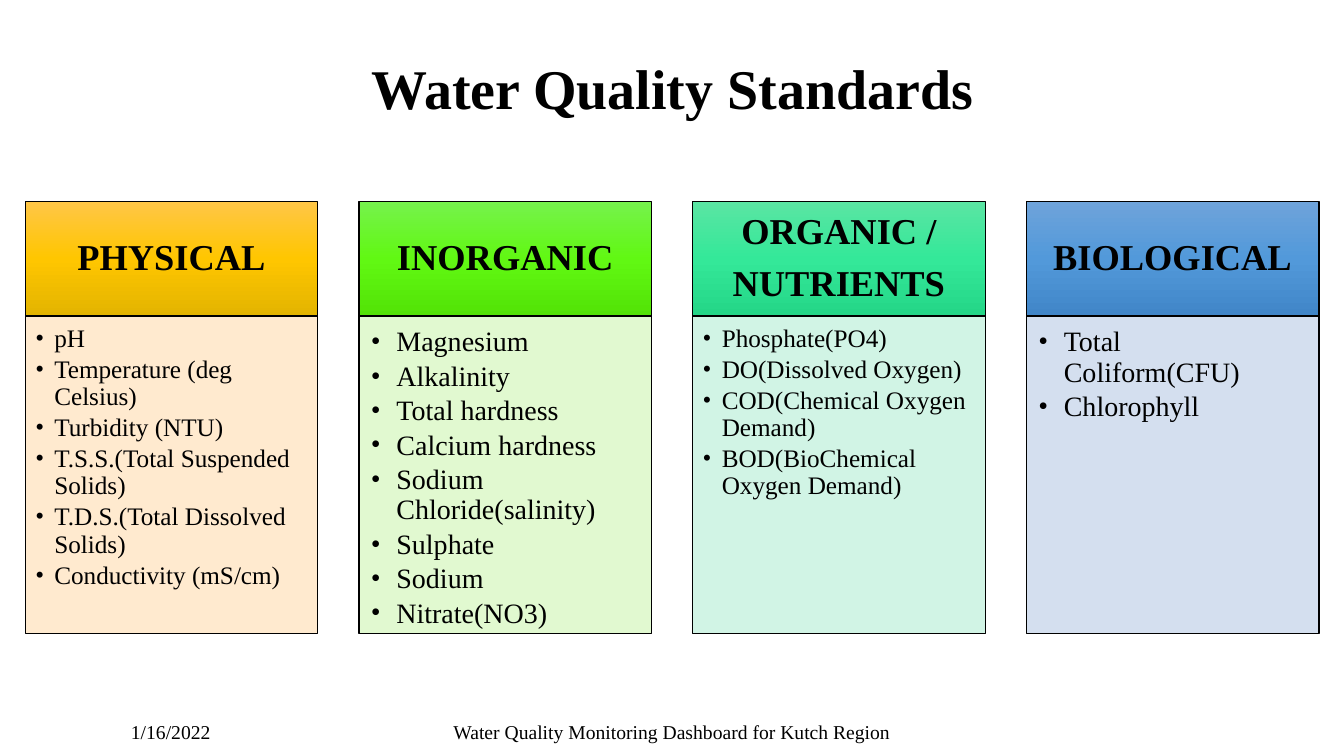
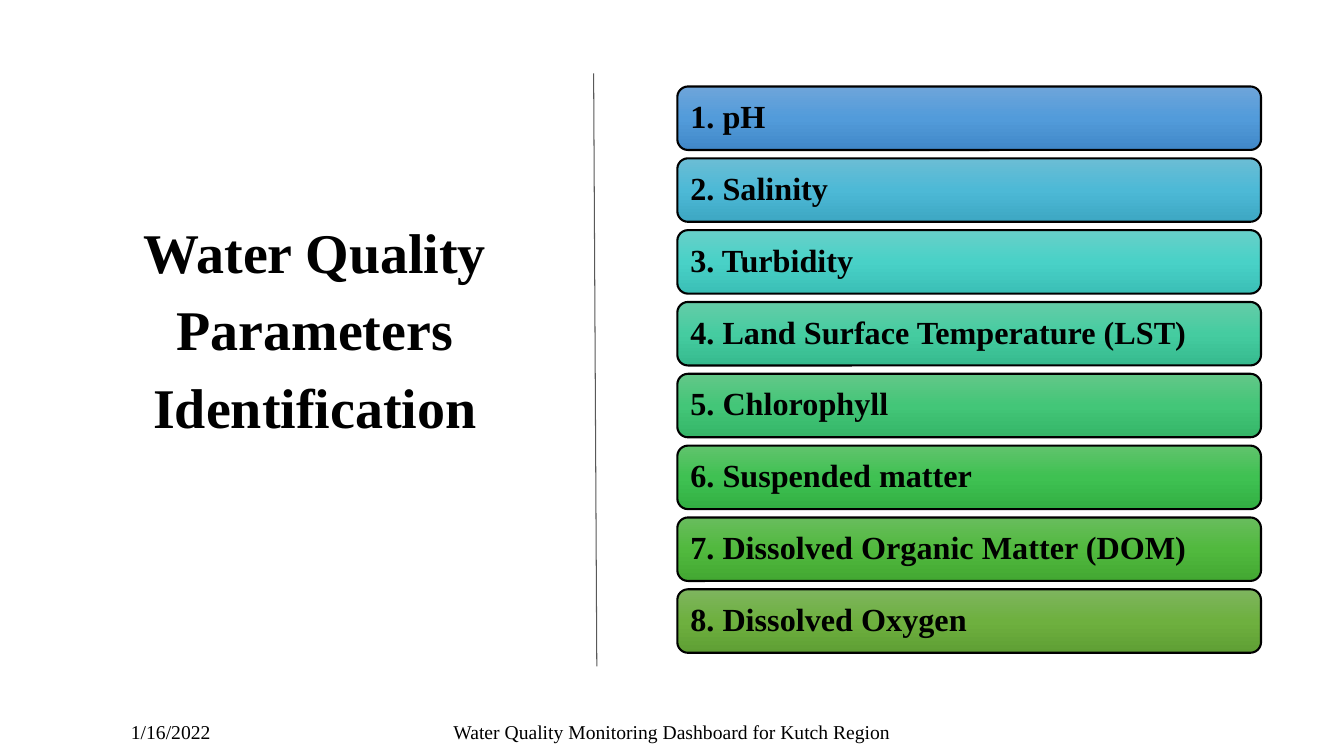
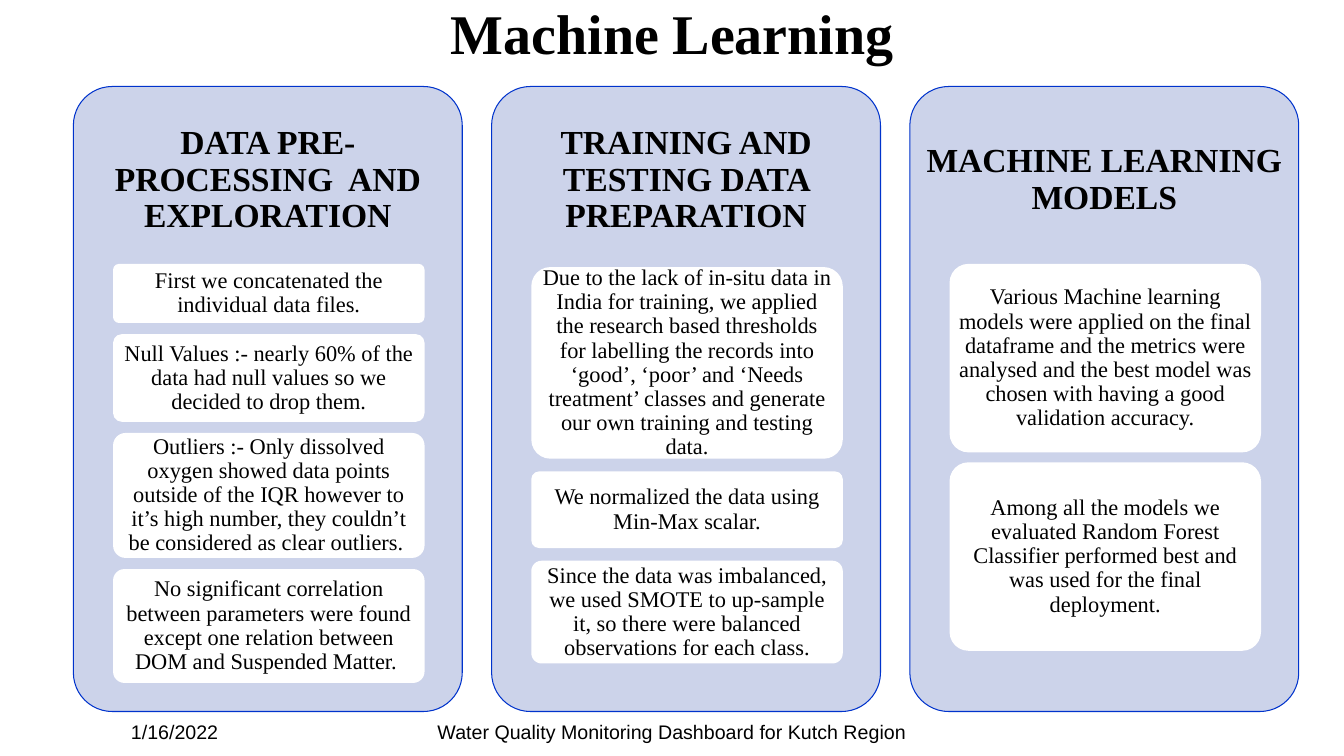
from copy import deepcopy

from lxml import etree
from pptx import Presentation
from pptx.dml.color import RGBColor
from pptx.enum.shapes import MSO_CONNECTOR, MSO_SHAPE
from pptx.enum.text import MSO_ANCHOR, MSO_AUTO_SIZE, PP_ALIGN
from pptx.oxml.ns import qn
from pptx.util import Cm, Pt

RECT, ROUNDED = MSO_SHAPE.RECTANGLE, MSO_SHAPE.ROUNDED_RECTANGLE
STRAIGHT = MSO_CONNECTOR.STRAIGHT
TOP, MIDDLE, BOTTOM = MSO_ANCHOR.TOP, MSO_ANCHOR.MIDDLE, MSO_ANCHOR.BOTTOM
LEFT, CENTER = PP_ALIGN.LEFT, PP_ALIGN.CENTER
NO_FIT = MSO_AUTO_SIZE.NONE
TITLE_ONLY = 5
SERIF, SANS = "Times New Roman", "Arial"

# Gradients run from top to bottom: light, middle, dark
COLORS = {
    "ink": "000000",
    "rule": "595959",
    "panel": "CCD3EA",
    "panel_edge": "0033CC",
    "card": "FFFFFF",
    "physical": ("FFC647", "FFC600", "E3B400"),
    "inorganic": ("76F24C", "61F813", "52E306"),
    "organic": ("5AE5A3", "34E899", "24D687"),
    "biological": ("6EA3DA", "5299DA", "4186C8"),
    "physical_tint": "FFE8CA",
    "inorganic_tint": "DEF9CB",
    "organic_tint": "CDF3E3",
    "biological_tint": "D0DCEE",
    "bar_1": ("6EA5DA", "529BDA", "4188C8"),
    "bar_2": ("6BBDD5", "4DB9D6", "3DA7C3"),
    "bar_3": ("68D0C9", "49D1C7", "3ABFB6"),
    "bar_4": ("65CCA8", "45CCA0", "36BA8E"),
    "bar_5": ("63C788", "43C678", "35B668"),
    "bar_6": ("60C36C", "3FC152", "32B043"),
    "bar_7": ("69BD5E", "51B93E", "43A832"),
    "bar_8": ("7EB55F", "6EB03F", "5F9F34"),
}


def rgb(name):
    return RGBColor.from_string(COLORS[name])


def apply(target, values):
    for name, value in values.items():
        setattr(target, name, value)


class Slides:
    """Holds the shared style and the slide being built."""

    def __init__(self):
        self.deck = Presentation()
        apply(self.deck, {"slide_width": Cm(33.87), "slide_height": Cm(19.05)})
        self.page = None

    def new_page(self, title, area, spacing=0.85, footer_font=SERIF):
        self.page = self.deck.slides.add_slide(self.deck.slide_layouts[TITLE_ONLY])
        heading = self.page.shapes.title
        apply(heading, dict(zip(("left", "top", "width", "height"), map(Cm, area))))
        self.set_text(heading, [title], 40, bold=True, anchor=BOTTOM, spacing=spacing)
        footer = {"font": footer_font, "spacing": 1.0}
        self.label(["1/16/2022"], (3.05, 17.93, 6.86, 1.02), 14, align=LEFT, **footer)
        self.label(["Water Quality Monitoring Dashboard for Kutch Region"],
                   (10.24, 17.93, 13.39, 1.02), 14, **footer)

    def set_text(self, box, lines, size, bold=False, font=SERIF, align=CENTER, anchor=MIDDLE,
                 insets=(0.25, 0.13, 0.25, 0.13), spacing=0.9, before=0, bullet_indent=None):
        frame = box.text_frame
        apply(frame, {"word_wrap": True, "auto_size": NO_FIT, "vertical_anchor": anchor})
        sides = ("margin_left", "margin_top", "margin_right", "margin_bottom")
        apply(frame, dict(zip(sides, map(Cm, insets))))
        for index, line in enumerate(lines):
            para = frame.add_paragraph() if index else frame.paragraphs[0]
            apply(para, {"alignment": align, "line_spacing": spacing,
                         "space_before": Pt(before if index else 0), "space_after": Pt(0)})
            if bullet_indent:
                self.bullet(para, bullet_indent)
            span = para.add_run()
            span.text = line
            apply(span.font, {"name": font, "size": Pt(size), "bold": bold})
            span.font.color.rgb = rgb("ink")

    def bullet(self, para, indent):
        properties = para._p.get_or_add_pPr()
        properties.set("marL", str(Cm(indent)))
        properties.set("indent", str(-Cm(indent)))
        color = etree.SubElement(properties, qn("a:buClr"))
        etree.SubElement(color, qn("a:srgbClr"), val=COLORS["ink"])
        etree.SubElement(properties, qn("a:buFont"), typeface=SERIF)
        etree.SubElement(properties, qn("a:buChar"), char="•")

    def label(self, lines, area, size, **style):
        box = self.page.shapes.add_textbox(*map(Cm, area))
        self.set_text(box, lines, size, **style)

    def block(self, kind, area, fill, edge=None, edge_width=1, corner=None, opacity=None):
        box = self.page.shapes.add_shape(kind, *map(Cm, area))
        box.shadow.inherit = False
        if corner:
            box.adjustments[0] = corner
        if isinstance(COLORS[fill], tuple):
            self.gradient(box, COLORS[fill])
        else:
            box.fill.solid()
            box.fill.fore_color.rgb = rgb(fill)
        if opacity:
            color = box._element.spPr.find(qn("a:solidFill")).find(qn("a:srgbClr"))
            etree.SubElement(color, qn("a:alpha"), val=str(opacity * 1000))
        if edge:
            box.line.color.rgb = rgb(edge)
            box.line.width = Pt(edge_width)
        else:
            box.line.fill.background()
        return box

    def gradient(self, box, shades):
        box.fill.gradient()
        box.fill.gradient_angle = 270
        stop_list = box._element.spPr.find(qn("a:gradFill")).find(qn("a:gsLst"))
        stop_list.append(deepcopy(stop_list[-1]))
        for index, (stop, shade) in enumerate(zip(box.fill.gradient_stops, shades)):
            stop.position = index / 2
            stop.color.rgb = RGBColor.from_string(shade)

    def rule(self, ends):
        line = self.page.shapes.add_connector(STRAIGHT, *map(Cm, ends))
        line.line.color.rgb = rgb("rule")
        line.line.width = Pt(0.75)
        etree.SubElement(line._element.spPr, qn("a:effectLst"))


# Two list sizes used in the columns of standards
SMALL_LIST = {"size": 18, "insets": (0.25, 0.25, 0.36, 0.41), "before": 2.7, "bullet_indent": 0.48}
LARGE_LIST = {"size": 20, "insets": (0.3, 0.3, 0.41, 0.43), "before": 3, "bullet_indent": 0.64}

STANDARDS = [
    ("physical", ["PHYSICAL"], SMALL_LIST,
     ["pH", "Temperature (deg Celsius)", "Turbidity (NTU)", "T.S.S.(Total Suspended Solids)",
      "T.D.S.(Total Dissolved Solids)", "Conductivity (mS/cm)"]),
    ("inorganic", ["INORGANIC"], LARGE_LIST,
     ["Magnesium", "Alkalinity", "Total hardness", "Calcium hardness",
      "Sodium Chloride(salinity)", "Sulphate", "Sodium", "Nitrate(NO3)"]),
    ("organic", ["ORGANIC /", "NUTRIENTS"], SMALL_LIST,
     ["Phosphate(PO4)", "DO(Dissolved Oxygen)", "COD(Chemical Oxygen Demand)",
      "BOD(BioChemical Oxygen Demand)"]),
    ("biological", ["BIOLOGICAL"], LARGE_LIST, ["Total Coliform(CFU)", "Chlorophyll"]),
]

PARAMETERS = ["pH", "Salinity", "Turbidity", "Land Surface Temperature (LST)", "Chlorophyll",
              "Suspended matter", "Dissolved Organic Matter (DOM)", "Dissolved Oxygen"]

# Heading, top of the first card, gap, then height and text of each card
STAGES = [
    ("DATA PRE-PROCESSING  AND EXPLORATION", 6.65, 0.28, [
        (1.49, "First we concatenated the individual data files."),
        (2.21, "Null Values :- nearly 60% of the data had null values so we decided to "
               "drop them."),
        (3.15, "Outliers :- Only dissolved oxygen showed data points outside of the IQR "
               "however to it’s high number, they couldn’t be considered as clear outliers. "),
        (2.87, "No significant correlation between parameters were found except one "
               "relation between DOM and Suspended Matter. ")]),
    ("TRAINING AND TESTING DATA PREPARATION", 6.73, 0.32, [
        (4.83, "Due to the lack of in-situ data in India for training, we applied the "
               "research based thresholds for labelling the records into ‘good’, ‘poor’ and "
               "‘Needs treatment’ classes and generate our own training and testing data."),
        (1.93, "We normalized the data using Min-Max scalar."),
        (2.59, "Since the data was imbalanced, we used SMOTE to up-sample it, so there "
               "were balanced observations for each class.")]),
    ("MACHINE LEARNING MODELS", 6.65, 0.25, [
        (4.75, "Various Machine learning models were applied on the final dataframe and "
               "the metrics were analysed and the best model was chosen with having a good "
               "validation accuracy."),
        (4.75, "Among all the models we evaluated Random Forest Classifier performed best "
               "and was used for the final deployment.")]),
]


def standards_page(slides):
    slides.new_page("Water Quality Standards", (2.97, 0.48, 27.94, 2.69))
    for index, (color, heading, list_style, items) in enumerate(STANDARDS):
        left = 0.64 + index * 8.41
        head = slides.block(RECT, (left, 5.08, 7.37, 2.88), color, "ink")
        slides.set_text(head, heading, 26, bold=True, insets=(0.5, 0.3, 0.5, 0.3), before=9.1)
        body = slides.block(RECT, (left, 7.96, 7.37, 8), color + "_tint", "ink", opacity=90)
        slides.set_text(body, items, align=LEFT, anchor=TOP, **list_style)


def parameters_page(slides):
    slides.new_page("Water Quality Parameters Identification", (0.91, 5.59, 14.05, 5.61),
                    spacing=1.15)
    for index, name in enumerate(PARAMETERS):
        area = (17.07, 2.18 + index * 1.81, 14.71, 1.6)
        bar = slides.block(ROUNDED, area, f"bar_{index + 1}", "ink", 1.5, corner=0.167)
        slides.set_text(bar, [f"{index + 1}. {name}"], 23, bold=True, align=LEFT,
                        insets=(0.25,) * 4)
    slides.rule((14.96, 1.85, 15.04, 16.79))


def learning_page(slides):
    slides.new_page("Machine Learning", (2.97, 0, 27.94, 1.78), footer_font=SANS)
    for index, (heading, top, gap, cards) in enumerate(STAGES):
        left = 1.85 + index * 10.54
        slides.block(ROUNDED, (left, 2.18, 9.8, 15.75), "panel", "panel_edge", 0.75, corner=0.1)
        slides.label([heading], (left, 2.18, 9.8, 4.72), 24, bold=True, insets=(0.25,) * 4)
        for height, text in cards:
            card = slides.block(ROUNDED, (left + 1, top, 7.85, height), "card", corner=0.1)
            slides.set_text(card, [text], 16, insets=(0.1, 0.08, 0.1, 0.08))
            top += height + gap


def main():
    slides = Slides()
    standards_page(slides)
    parameters_page(slides)
    learning_page(slides)
    slides.deck.save("out.pptx")


if __name__ == "__main__":
    main()
